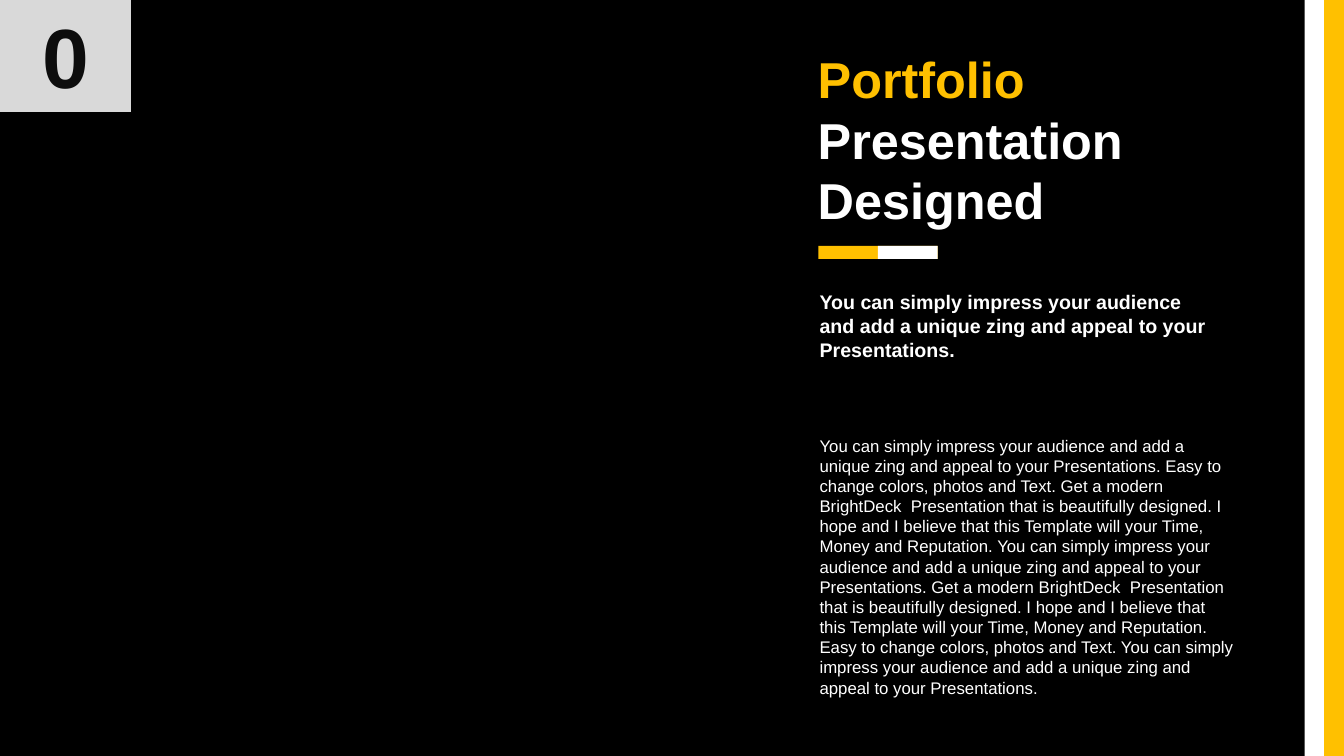
"""Builds a black portfolio slide with a title, a lead, a text column and accent bars."""
from lxml import etree
from pptx import Presentation
from pptx import util as u
from pptx.dml.color import RGBColor
from pptx.enum import shapes, text

COLORS = {
    "black": "000000",
    "white": "FFFFFF",
    "amber": "FFC000",
    "gray": "D9D9D9",
    "ink": "0D0D0D",
}
FONT = "Arial"
LINE_FACTOR = 1.2
SLIDE_WIDTH, SLIDE_HEIGHT = 960, 540

TITLE = [("Portfolio", "amber"), ("Presentation Designed", "white")]
LEAD = [(
    "You can simply impress your audience and add a unique zing and appeal "
    "to your Presentations.", "white")]
BODY = [(
    "You can simply impress your audience and add a unique zing and appeal "
    "to your Presentations. Easy to change colors, photos and Text. Get a modern "
    "BrightDeck  Presentation that is beautifully designed. I hope and I believe "
    "that this Template will your Time, Money and Reputation. You can simply "
    "impress your audience and add a unique zing and appeal to your Presentations. "
    "Get a modern BrightDeck  Presentation that is beautifully designed. I hope "
    "and I believe that this Template will your Time, Money and Reputation. Easy "
    "to change colors, photos and Text. You can simply impress your audience and "
    "add a unique zing and appeal to your Presentations.", "white")]
NUMBER = [("0", "ink")]

COLUMNS = [
    (TITLE, (576.9, 31, 294.5, 138.2), 36, True),
    (LEAD, (578.2, 203.8, 293.8, 58.3), 14, True),
    (BODY, (578.2, 307.4, 311.8, 196.6), 12, False),
]

EDGE, STRIPE = 28.2, 14.1
RULE_LEFT, RULE_TOP, RULE_WIDTH, RULE_HEIGHT = 584.5, 175.7, 85.2, 9.2
BARS = [
    ((SLIDE_WIDTH - EDGE, 0, EDGE, SLIDE_HEIGHT), "white"),
    ((SLIDE_WIDTH - STRIPE, 0, STRIPE, SLIDE_HEIGHT), "amber"),
    ((RULE_LEFT, RULE_TOP, RULE_WIDTH, RULE_HEIGHT), "amber"),
    ((RULE_LEFT + RULE_WIDTH / 2, RULE_TOP, RULE_WIDTH / 2, RULE_HEIGHT), "white"),
]
NUMBER_BOX = (0, 0, 93.6, 80)


def rgb(name):
    return RGBColor.from_string(COLORS[name])


def apply(target, values):
    for name, value in values.items():
        setattr(target, name, value)


def write(frame, lines, size, bold, align, anchor):
    apply(frame, {
        "word_wrap": True,
        "auto_size": text.MSO_AUTO_SIZE.NONE,
        "vertical_anchor": anchor,
        "margin_left": u.Pt(7.2),
        "margin_right": u.Pt(7.2),
        "margin_top": u.Pt(3.6),
        "margin_bottom": u.Pt(3.6),
    })
    for index, (words, color) in enumerate(lines):
        paragraph = frame.add_paragraph() if index else frame.paragraphs[0]
        properties = paragraph._p.get_or_add_pPr()
        properties.set("marL", "0")
        properties.set("indent", "0")
        etree.SubElement(
            properties, "{http://schemas.openxmlformats.org/drawingml/2006/main}buNone")
        apply(paragraph, {
            "alignment": align,
            "line_spacing": u.Pt(size * LINE_FACTOR),
            "space_before": u.Pt(0),
            "space_after": u.Pt(0),
        })
        run = paragraph.add_run()
        run.text = words
        apply(run.font, {"name": FONT, "size": u.Pt(size), "bold": bold})
        run.font.color.rgb = rgb(color)


def add_bar(slide, box, color):
    bar = slide.shapes.add_shape(shapes.MSO_SHAPE.RECTANGLE, *map(u.Pt, box))
    bar.shadow.inherit = False
    bar.fill.solid()
    bar.fill.fore_color.rgb = rgb(color)
    bar.line.fill.background()
    return bar


def main():
    deck = Presentation()
    apply(deck, {"slide_width": u.Pt(SLIDE_WIDTH), "slide_height": u.Pt(SLIDE_HEIGHT)})
    slide = deck.slides.add_slide(deck.slide_layouts.get_by_name("Two Content"))
    slide.background.fill.solid()
    slide.background.fill.fore_color.rgb = rgb("black")

    for holder, (lines, box, size, bold) in zip(slide.placeholders, COLUMNS):
        apply(holder, dict(zip(("left", "top", "width", "height"), map(u.Pt, box))))
        write(holder.text_frame, lines, size, bold,
              text.PP_ALIGN.LEFT, text.MSO_ANCHOR.TOP)

    for box, color in BARS:
        add_bar(slide, box, color)

    number = add_bar(slide, NUMBER_BOX, "gray")
    write(number.text_frame, NUMBER, 60, True,
          text.PP_ALIGN.CENTER, text.MSO_ANCHOR.TOP)

    deck.save("out.pptx")


if __name__ == "__main__":
    main()
